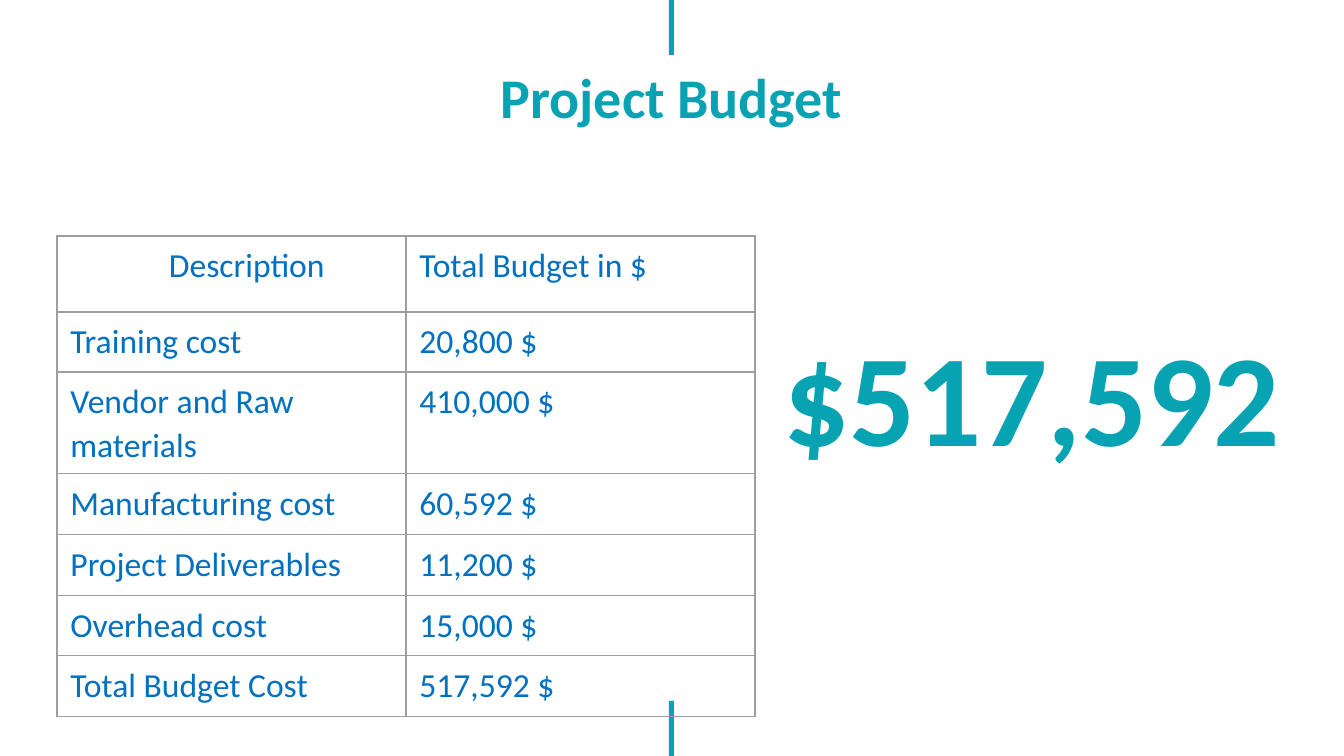
from dataclasses import dataclass

from lxml import etree
from pptx import Presentation
from pptx.dml.color import RGBColor
from pptx.enum.shapes import MSO_SHAPE
from pptx.enum.text import MSO_ANCHOR, PP_ALIGN
from pptx.oxml.ns import qn
from pptx.util import Pt

RECT = MSO_SHAPE.RECTANGLE
TOP, MIDDLE = MSO_ANCHOR.TOP, MSO_ANCHOR.MIDDLE
CENTER = PP_ALIGN.CENTER
PX = 914400 / 134.4


@dataclass(frozen=True)
class Theme:
    """Colours, font and type sizes of the slide."""
    teal: RGBColor = RGBColor(0x07, 0xA3, 0xB2)
    blue: RGBColor = RGBColor(0x00, 0x70, 0xC0)
    grid: str = "9E9E9E"
    font: str = "Calibri"
    title: int = 30
    total: int = 70
    body: int = 18


theme = Theme()


def emu(*sizes):
    """Turn picture pixels into EMU."""
    return [round(size * PX) for size in sizes]


def add_rule(cell):
    """Draw a thin grey border on all sides of a cell."""
    props = cell._tc.get_or_add_tcPr()
    for n, side in enumerate(("a:lnL", "a:lnR", "a:lnT", "a:lnB")):
        line = etree.Element(qn(side), w=str(Pt(0.75)))
        fill = etree.SubElement(line, qn("a:solidFill"))
        etree.SubElement(fill, qn("a:srgbClr"), val=theme.grid)
        props.insert(n, line)


deck = Presentation()
deck.slide_width, deck.slide_height = emu(1344, 756)
slide = deck.slides.add_slide(deck.slide_layouts[6])
shapes = slide.shapes

# Centre bars
for top in (0, 701):
    bar = shapes.add_shape(RECT, *emu(669, top, 5, 55))
    bar.shadow.inherit = False
    bar.fill.solid()
    bar.fill.fore_color.rgb = theme.teal
    bar.line.fill.background()

# Title and total
heads = (
    ("Project Budget", (255, 50, 833, 83), theme.title, TOP),
    ("$517,592", (762, 214, 540, 361), theme.total, MIDDLE),
)
for text, place, size, anchor in heads:
    frame = shapes.add_textbox(*emu(*place)).text_frame
    frame.word_wrap = True
    frame.vertical_anchor = anchor
    frame.margin_left, frame.margin_right = emu(13, 13)
    frame.margin_top, frame.margin_bottom = emu(13, 13)
    para = frame.paragraphs[0]
    para.text = text
    para.alignment = CENTER
    para.font.name = theme.font
    para.font.size = Pt(size)
    para.font.bold = True
    para.font.color.rgb = theme.teal

# Budget table
costs = (
    ("Description", "Total Budget in $"),
    ("Training cost", "20,800 $"),
    ("Vendor and Raw materials", "410,000 $"),
    ("Manufacturing cost", "60,592 $"),
    ("Project Deliverables", "11,200 $"),
    ("Overhead cost", "15,000 $"),
    ("Total Budget Cost", "517,592 $"),
)
highs = emu(76, 60, 102, 61, 61, 60, 61)
left, top, width = emu(57, 236, 698)
table = shapes.add_table(len(costs), 2, left, top, width, sum(highs)).table
table.first_row = False
table.horz_banding = False
for row, high, texts in zip(table.rows, highs, costs):
    row.height = high
    for cell, text in zip(row.cells, texts):
        cell.fill.background()
        add_rule(cell)
        para = cell.text_frame.paragraphs[0]
        para.text = text
        para.line_spacing = 1.07
        para.space_after = Pt(8)
        para.font.name = theme.font
        para.font.size = Pt(theme.body)
        para.font.color.rgb = theme.blue

# The first heading is set in from the left
head = table.cell(0, 0)
head.margin_left = emu(112)[0]

deck.save("out.pptx")
